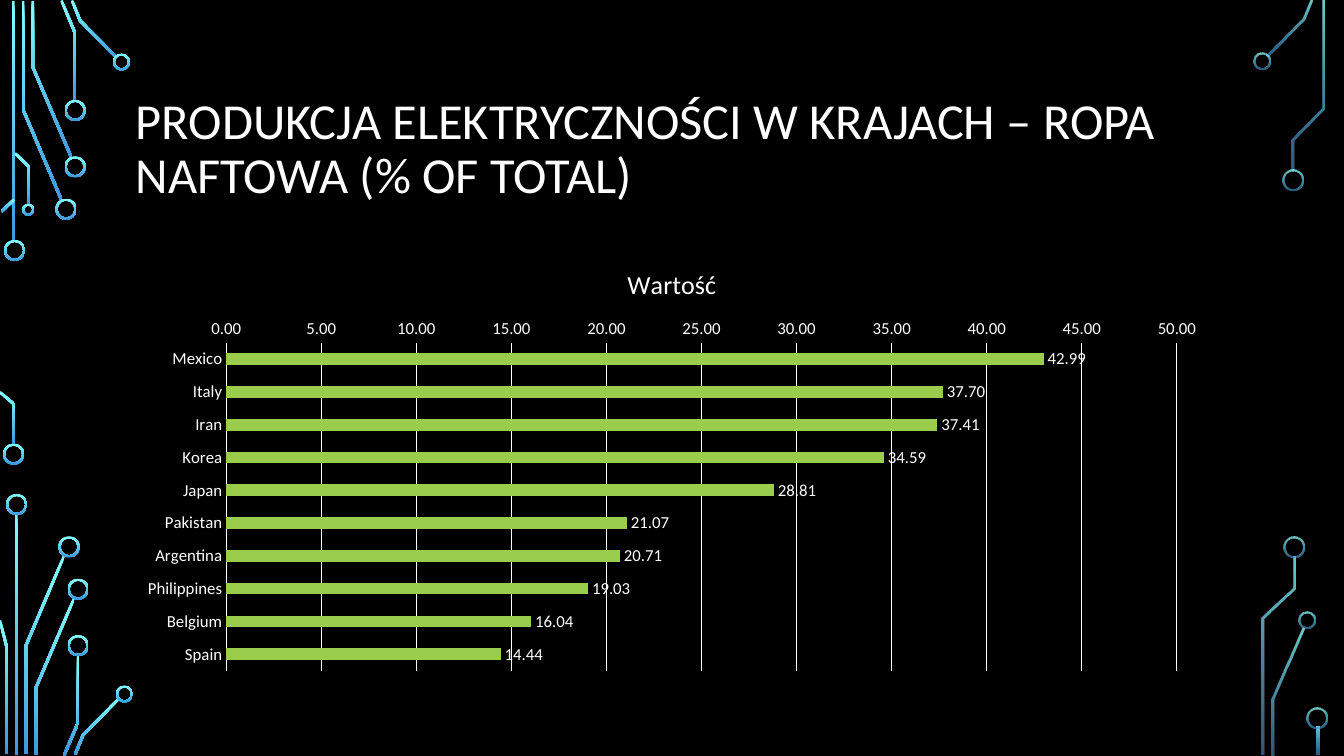
from dataclasses import dataclass
from math import hypot

from pptx import Presentation
from pptx.chart.data import CategoryChartData as ChartData
from pptx.dml.color import RGBColor as Rgb
from pptx.enum.chart import XL_CHART_TYPE as Kind, XL_LABEL_POSITION as Spot, XL_TICK_MARK as Tick
from pptx.enum.shapes import MSO_SHAPE as Form
from pptx.enum.text import MSO_ANCHOR as Anchor
from pptx.oxml.ns import qn
from pptx.util import Inches, Pt
from lxml.etree import SubElement as Sub

BLACK = Rgb(0x00, 0x00, 0x00)
WHITE = Rgb(0xFF, 0xFF, 0xFF)
CYAN = Rgb(0x82, 0xFF, 0xFF)
BLUE = Rgb(0x3D, 0x97, 0xDE)
GREEN = Rgb(0x9A, 0xCD, 0x4C)
FONT = "Calibri"

# Grid: square cells, a hundred to the inch
COLS, ROWS = 1333, 750
CELL = Inches(0.01)
BAND = 2.6      # width of a trace
RIM = 2         # thickness of a ring
FADE = (80, 60)  # opacity of the right side, in percent


@dataclass(frozen=True)
class Ring:
    col: float
    row: float
    size: float = 21


@dataclass(frozen=True)
class Rod:
    col: float
    row: float
    high: float


@dataclass(frozen=True)
class Trace:
    points: tuple[tuple[float, float], ...]


@dataclass(frozen=True)
class Side:
    items: tuple
    fade: tuple[int, int] | None = None


LEFT = Side((
    Rod(12, 1, 239), Rod(15, 510, 239),
    # top corner
    Trace(((23, 1), (23, 109), (61, 198.5))),
    Trace(((32.5, 1), (32.5, 66.5), (71, 156.5))),
    Trace(((61, 0.5), (74.5, 33), (74.5, 100))),
    Trace(((71.5, 0.5), (79.5, 20.5), (115.5, 57))),
    Trace(((1.5, 210), (14, 198))),
    Trace(((15, 152), (29, 165.5), (29, 203))),
    Ring(4, 238), Ring(55, 197), Ring(64, 155), Ring(64, 99),
    Ring(112, 53, 17), Ring(22, 202, 12),
    # middle
    Trace(((0, 389), (14, 401), (14, 441))),
    Ring(3, 440),
    # bottom corner
    Trace(((25.5, 748), (25.5, 641), (63.5, 551.5))),
    Trace(((0, 615.5), (6.5, 641), (6.5, 748))),
    Trace(((35.5, 749), (35.5, 682.5), (73.5, 593.5))),
    Trace(((63.5, 749.5), (77.5, 717), (77.5, 650))),
    Trace(((74.5, 748.5), (82.5, 729), (118, 693))),
    Ring(6, 490), Ring(58, 532), Ring(67, 574), Ring(67, 630),
    Ring(115, 680, 17),
))
RIGHT = Side((
    Rod(1306, 721, 28),
    # top corner
    Trace(((1257, 55.5), (1292.5, 19.5), (1300.5, 0.5))),
    Trace(((1282, 169), (1282, 138.5), (1312.5, 107.5), (1312.5, 1))),
    Ring(1243, 52, 17), Ring(1272, 168),
    # bottom corner
    Trace(((1262.5, 749), (1262.5, 693.5), (1293, 623.5))),
    Trace(((1252.5, 749), (1252.5, 613.5), (1283.5, 583.5), (1283.5, 552))),
    Ring(1288, 607, 17), Ring(1273, 532), Ring(1296, 702),
), FADE)

TITLE = "PRODUKCJA ELEKTRYCZNOŚCI W KRAJACH – ROPA NAFTOWA (% OF TOTAL)"
NAME = "Wartość"
SHARES = {
    "Mexico": 42.99, "Italy": 37.70, "Iran": 37.41, "Korea": 34.59,
    "Japan": 28.81, "Pakistan": 21.07, "Argentina": 20.71,
    "Philippines": 19.03, "Belgium": 16.04, "Spain": 14.44,
}


def cells(*counts: float) -> list[int]:
    return [round(count * CELL) for count in counts]


def apply(item, **values) -> None:
    for key, value in values.items():
        setattr(item, key, value)


def style(font, size: float) -> None:
    apply(font, name=FONT, size=Pt(size))
    font.color.rgb = WHITE


def rule(line) -> None:
    line.color.rgb = WHITE
    line.width = Pt(0.75)


def edges(points) -> list[tuple[float, float]]:
    """Outline of a band of even width with mitred bends."""
    norms = []
    for (x, y), (u, v) in zip(points, points[1:]):
        span = hypot(u - x, v - y)
        norms.append(((y - v) / span, (u - x) / span))
    near, far = [], []
    for (x, y), (a, b), (c, d) in zip(points, norms[:1] + norms, norms + norms[-1:]):
        reach = BAND / 2 / (1 + a * c + b * d)
        dx, dy = (a + c) * reach, (b + d) * reach
        near.append((x + dx, y + dy))
        far.append((x - dx, y - dy))
    return near + far[::-1]


def shade(shape, fade: tuple[int, int] | None) -> None:
    shape.shadow.inherit = False
    shape.line.fill.background()
    fill = shape.fill
    fill.gradient()
    fill.gradient_angle = 270
    for stop, tint in zip(fill.gradient_stops, (CYAN, BLUE)):
        stop.color.rgb = tint
    if fade:
        tints = shape._element.spPr.iter(qn("a:srgbClr"))
        for tint, share in zip(tints, fade):
            Sub(tint, qn("a:alpha"), val=str(share * 1000))


def draw(shapes, item: Ring | Rod | Trace):
    if isinstance(item, Ring):
        ring = shapes.add_shape(Form.DONUT, *cells(item.col, item.row, item.size, item.size))
        ring.adjustments[0] = RIM / item.size
        return ring
    if isinstance(item, Rod):
        return shapes.add_shape(Form.RECTANGLE, *cells(item.col, item.row, BAND, item.high))
    first, *rest = [tuple(cells(*spot)) for spot in edges(item.points)]
    pen = shapes.build_freeform(*first)
    pen.add_line_segments(rest, close=True)
    return pen.convert_to_shape()


def add_title(shapes) -> None:
    frame = shapes.add_textbox(*cells(125, 68, 1083, 162)).text_frame
    apply(frame, word_wrap=True, vertical_anchor=Anchor.MIDDLE, text=TITLE)
    line = frame.paragraphs[0]
    line.line_spacing = 0.9
    style(line.runs[0].font, 36)


def add_bars(shapes) -> None:
    data = ChartData(number_format="0.00")
    data.categories = list(SHARES)
    data.add_series(NAME, list(SHARES.values()))
    chart = shapes.add_chart(Kind.BAR_CLUSTERED, *cells(125, 246, 1083, 428), data).chart
    style(chart.font, 10)
    apply(chart, has_legend=False, has_title=True)
    head = chart.chart_title
    head.include_in_layout = False
    head.text_frame.text = NAME
    font = head.text_frame.paragraphs[0].runs[0].font
    style(font, 18.6)
    font.bold = False

    # Axes
    names, scale = chart.category_axis, chart.value_axis
    for axis in (names, scale):
        apply(axis, major_tick_mark=Tick.NONE, minor_tick_mark=Tick.NONE)
        style(axis.tick_labels.font, 12)
    names.reverse_order = True
    rule(names.format.line)
    apply(scale, minimum_scale=0, maximum_scale=50, major_unit=5, has_major_gridlines=True)
    rule(scale.major_gridlines.format.line)
    scale.format.line.fill.background()
    apply(scale.tick_labels, number_format="0.00", number_format_is_linked=False)

    # Bars and their labels
    plot = chart.plots[0]
    apply(plot, gap_width=182, vary_by_categories=False)
    bars = plot.series[0]
    bars.format.fill.solid()
    bars.format.fill.fore_color.rgb = GREEN
    tags = bars.data_labels
    apply(tags, show_value=True, position=Spot.OUTSIDE_END,
          number_format="0.00", number_format_is_linked=False)
    style(tags.font, 12)


def main() -> None:
    deck = Presentation()
    apply(deck, slide_width=COLS * CELL, slide_height=ROWS * CELL)
    slide = deck.slides.add_slide(deck.slide_layouts[6])
    back = slide.background.fill
    back.solid()
    back.fore_color.rgb = BLACK
    for side in (LEFT, RIGHT):
        for item in side.items:
            shade(draw(slide.shapes, item), side.fade)
    add_title(slide.shapes)
    add_bars(slide.shapes)
    deck.save("out.pptx")


if __name__ == "__main__":
    main()
